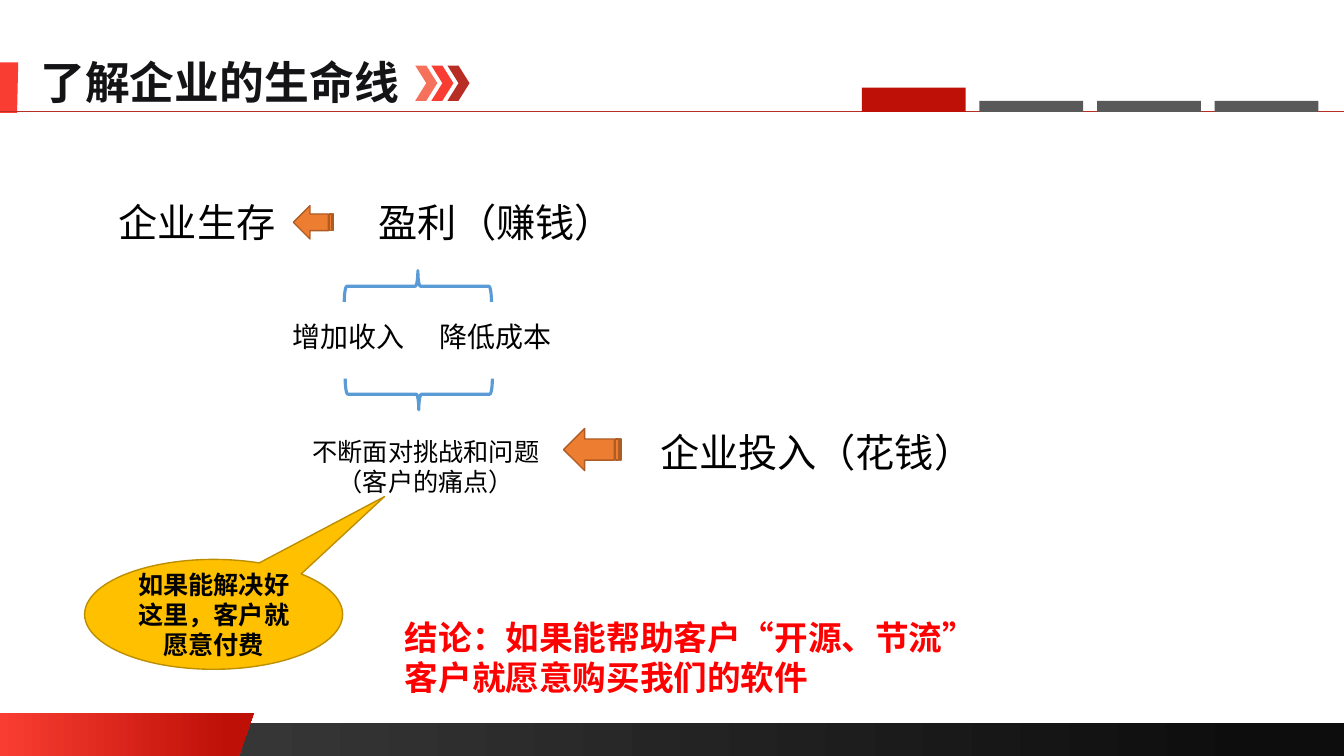
from dataclasses import dataclass
from lxml import etree
from pptx import Presentation
from pptx.dml.color import RGBColor
from pptx.enum.shapes import MSO_CONNECTOR, MSO_SHAPE
from pptx.enum.text import MSO_ANCHOR, MSO_AUTO_SIZE, PP_ALIGN
from pptx.oxml.ns import qn
from pptx.util import Pt

LEFT, CENTER = PP_ALIGN.LEFT, PP_ALIGN.CENTER
TOP, MIDDLE = MSO_ANCHOR.TOP, MSO_ANCHOR.MIDDLE
GROW, FIXED = MSO_AUTO_SIZE.SHAPE_TO_FIT_TEXT, MSO_AUTO_SIZE.NONE
RECTANGLE, CHEVRON = MSO_SHAPE.RECTANGLE, MSO_SHAPE.CHEVRON
BRACE, ARROW = MSO_SHAPE.LEFT_BRACE, MSO_SHAPE.STRIPED_RIGHT_ARROW
CALLOUT, STRAIGHT = MSO_SHAPE.OVAL_CALLOUT, MSO_CONNECTOR.STRAIGHT


@dataclass(frozen=True)
class Theme:
    latin: str = "Calibri"
    chinese: str = "Noto Sans CJK SC"
    ink: str = "141316"
    black: str = "000000"
    alert: str = "FF0000"
    red: str = "F93D32"
    deep_red: str = "BE1007"
    rule_red: str = "B82E24"
    salmon: str = "F5715B"
    grey: str = "595959"
    bar_start: str = "404040"
    bar_end: str = "0D0D0D"
    orange: str = "ED7D31"
    orange_edge: str = "AF5C24"
    gold: str = "FFC000"
    gold_edge: str = "BD8E00"
    blue: str = "5B9BD5"
    title_size: int = 32
    idea_size: int = 28
    conclusion_size: int = 24
    branch_size: int = 20
    note_size: int = 18


THEME = Theme()
WIDTH, HEIGHT = 960, 540

TITLE = ("了解企业的生命线", (21.6, 35.3, 272.9, 46.1))
IDEAS = [
    ("企业生存", (77.8, 138.2, 127.4, 41)),
    ("盈利（赚钱）", (263.5, 138.2, 184.3, 41)),
    ("企业投入（花钱）", (464.4, 302.4, 240.5, 41)),
]
BRANCHES = [
    ("增加收入", (201.6, 224.6, 95, 31.7)),
    ("降低成本", (306.7, 224.6, 95, 31.7)),
]
CHALLENGE = ("不断面对挑战和问题\n（客户的痛点）", (215.3, 308.2, 177.8, 51.1))
SOLUTION = ("如果能解决好这里，客户就愿意付费", (60.5, 399.6, 184.3, 78.5))
CONCLUSION = (
    "结论：如果能帮助客户“开源、节流”\n客户就愿意购买我们的软件",
    (282.2, 437, 426.2, 65.5),
)
ARROWS = [(209.5, 146.9, 28.8, 23.8), (402.5, 306, 41, 30.2)]
BRACES = [((287.3, 151.9, 22.3, 105.1), 90), ((288, 229, 22.3, 105.1), 270)]
CHEVRONS = [THEME.salmon, THEME.red, THEME.rule_red]
TAB_COUNT, TAB_LEFT, TAB_STEP, TAB_WIDTH = 4, 615.6, 84, 74.2
RULE_Y = 79.9
RIBBON = [(0, 509), (181.4, 509), (170.6, 540), (0, 540)]
TITLE_MARK = [(0, 44.6), (13, 44.6), (12.2, 80.6), (0, 80.6)]


def points(values):
    return [Pt(value) for value in values]


def paint(shape, fill=None, line=None, weight=1):
    shape.shadow.inherit = False
    if isinstance(fill, list):
        shape.fill.gradient()
        shape.fill.gradient_angle = 0
        for stop, (position, color) in zip(shape.fill.gradient_stops, fill):
            stop.position = position
            stop.color.rgb = RGBColor.from_string(color)
    elif fill:
        shape.fill.solid()
        shape.fill.fore_color.rgb = RGBColor.from_string(fill)
    else:
        shape.fill.background()
    if line:
        shape.line.color.rgb = RGBColor.from_string(line)
        shape.line.width = Pt(weight)
    else:
        shape.line.fill.background()


def add_preset(page, kind, place, rotation=0, **look):
    shape = page.shapes.add_shape(kind, *points(place))
    shape.rotation = rotation
    paint(shape, **look)
    return shape


def add_outline(page, corners, fill):
    builder = page.shapes.build_freeform(*points(corners[0]))
    builder.add_line_segments([points(corner) for corner in corners[1:]], close=True)
    paint(builder.convert_to_shape(), fill=fill)


def write(box, text, size, color=THEME.black, bold=False, font=THEME.latin,
          align=LEFT, anchor=TOP, wrap=False, autosize=GROW):
    frame = box.text_frame
    frame.text = text
    frame.word_wrap = wrap
    frame.auto_size = autosize
    frame.vertical_anchor = anchor
    for para in frame.paragraphs:
        para.alignment = align
        for span in para.runs:
            span.font.size = Pt(size)
            span.font.bold = bold
            span.font.name = font
            span.font.color.rgb = RGBColor.from_string(color)
            east_asian = etree.SubElement(span._r.get_or_add_rPr(), qn("a:ea"))
            east_asian.set("typeface", THEME.chinese)


def add_text(page, item, size, **style):
    text, place = item
    write(page.shapes.add_textbox(*points(place)), text, size, **style)


def add_frame(page):
    add_preset(page, RECTANGLE, (0, 516.2, WIDTH, 23.8),
               fill=[(0, THEME.bar_start), (0.94, THEME.bar_end)])
    add_outline(page, RIBBON, [(0, THEME.red), (0.91, THEME.deep_red)])
    add_outline(page, TITLE_MARK, THEME.red)
    rule = page.shapes.add_connector(STRAIGHT, *points((0, RULE_Y, WIDTH, RULE_Y)))
    rule.line.color.rgb = RGBColor.from_string(THEME.rule_red)
    rule.line.width = Pt(0.5)
    etree.SubElement(rule._element.spPr, qn("a:effectLst"))
    for index, color in enumerate(CHEVRONS):
        add_preset(page, CHEVRON, (296.6 + 11.5 * index, 46.8, 15.8, 25.2), fill=color)
    for index in range(TAB_COUNT):
        height, color = (17.3, THEME.deep_red) if index == 0 else (7.9, THEME.grey)
        place = (TAB_LEFT + TAB_STEP * index, RULE_Y - height, TAB_WIDTH, height)
        add_preset(page, RECTANGLE, place, fill=color)


def add_title(page):
    text, place = TITLE
    title = page.shapes.title
    title.left, title.top, title.width, title.height = points(place)
    write(title, text, THEME.title_size, color=THEME.ink, bold=True, font=THEME.chinese)


def add_diagram(page):
    for idea in IDEAS:
        add_text(page, idea, THEME.idea_size)
    for branch in BRANCHES:
        add_text(page, branch, THEME.branch_size)
    for place in ARROWS:
        add_preset(page, ARROW, place, rotation=180,
                   fill=THEME.orange, line=THEME.orange_edge)
    for place, rotation in BRACES:
        add_preset(page, BRACE, place, rotation=rotation, line=THEME.blue, weight=2.25)
    add_text(page, CHALLENGE, THEME.note_size, align=CENTER)
    text, place = SOLUTION
    callout = add_preset(page, CALLOUT, place, fill=THEME.gold, line=THEME.gold_edge)
    callout.adjustments[0], callout.adjustments[1] = 0.662, -1.072
    write(callout, text, THEME.note_size, bold=True, align=CENTER,
          anchor=MIDDLE, wrap=True, autosize=FIXED)
    add_text(page, CONCLUSION, THEME.conclusion_size, color=THEME.alert, bold=True)


def main():
    deck = Presentation()
    deck.slide_width, deck.slide_height = points((WIDTH, HEIGHT))
    page = deck.slides.add_slide(deck.slide_layouts.get_by_name("Title Only"))
    add_frame(page)
    add_title(page)
    add_diagram(page)
    deck.save("out.pptx")


if __name__ == "__main__":
    main()
